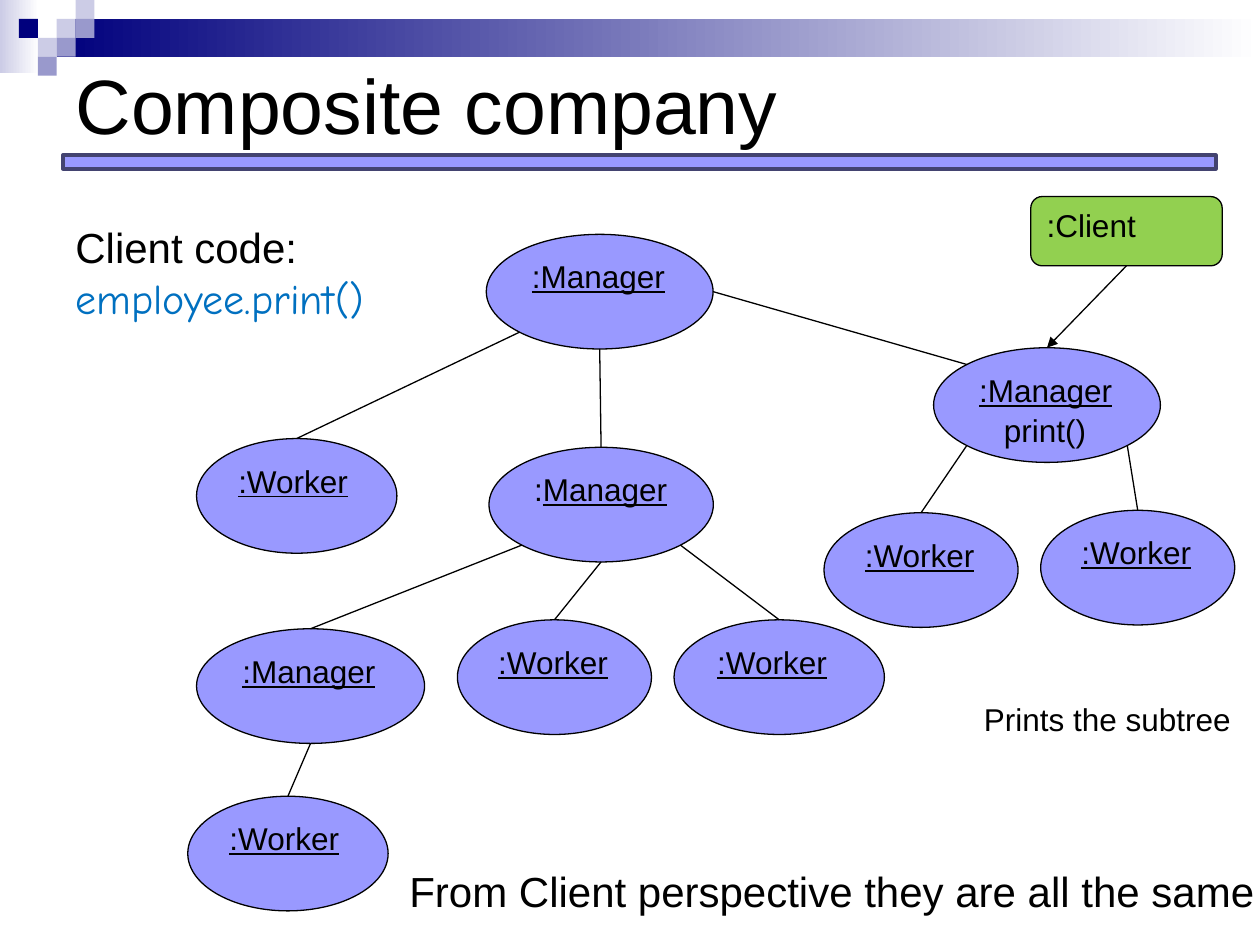
"""Builds the Composite company slide: an object tree of managers and workers."""
import pptx
import pptx.util
import pptx.dml.color
import pptx.enum.shapes
import pptx.enum.text
import lxml.etree
from pptx.oxml.ns import qn

Pt = pptx.util.Pt
RGB = pptx.dml.color.RGBColor
KIND = pptx.enum.shapes.MSO_SHAPE
TEXT = pptx.enum.text

BLACK = RGB(0x00, 0x00, 0x00)
WHITE = RGB(0xFF, 0xFF, 0xFF)
NAVY = RGB(0x00, 0x00, 0x7D)
PALE = RGB(0xCC, 0xCC, 0xE6)
MID = RGB(0x99, 0x99, 0xCC)
LILAC = RGB(0x99, 0x99, 0xFF)
SLATE = RGB(0x43, 0x43, 0x70)
GREEN = RGB(0x92, 0xD0, 0x50)
BLUE = RGB(0x00, 0x70, 0xC0)

TITLE = "Composite company"
STEP = 10.8
BANDS = [((0, 0, 22.3, 41.8), PALE), ((32.4, STEP, 687.6, 21.6), NAVY)]
TILES = [(3, 1, PALE), (4, 0, PALE), (4, 1, MID), (2, 2, PALE),
         (1, 1, NAVY), (3, 2, MID), (2, 3, MID)]
RULE = (36, 88.6, 658.8, 7.9)

HIGH = 65.5
NODES = {
    "root": (":Manager", 277.9, 133.9, 129.6),
    "east": (":Manager", 533.5, 198.7, 129.6),
    "mid": (":Manager", 279.4, 255.6, 128.2),
    "west": (":Manager", 112.3, 359.3, 130.3),
    "w1": (":Worker", 112.3, 250.6, 114.5),
    "w2": (":Worker", 107.3, 455, 114.5),
    "w3": (":Worker", 261.4, 354.2, 110.9),
    "w4": (":Worker", 385.2, 354.2, 120.2),
    "w5": (":Worker", 470.9, 293, 110.9),
    "w6": (":Worker", 594.7, 291.6, 110.9),
}
CLIENT = (589, 112.3, 109.4, 39.6)
SITES = {"top": (0.5, 0), "low": (0.5, 1), "right": (1, 0.5),
         "nw": (0.146, 0.146), "sw": (0.146, 0.854), "se": (0.854, 0.854)}
LINKS = [("root", "sw", "w1", "top"), ("root", "low", "mid", "top"),
         ("root", "right", "east", "nw"), ("mid", "sw", "west", "top"),
         ("mid", "low", "w3", "top"), ("mid", "se", "w4", "top"),
         ("east", "sw", "w5", "top"), ("east", "se", "w6", "top"),
         ("west", "low", "w2", "top"), ("client", "low", "east", "top")]
NOTES = [
    ((226.8, 491, 502.6, 36), 24,
     [("From Client perspective they are all the same", "Arial", BLACK)]),
    ((36, 123.1, 197.3, 65.5), 24,
     [("Client code:", "Arial", BLACK), ("employee.print()", "Comic Neue", BLUE)]),
    ((555.1, 396.7, 157, 28.8), 18, [("Prints the subtree", "Arial", BLACK)]),
    ((566.6, 231.1, 61.9, 28.8), 18, [("print()", "Arial", BLACK)]),
]


def write(para, text, color=BLACK, **form):
    run = para.add_run()
    run.text = text
    for key, value in {"name": "Arial", "size": Pt(18), **form}.items():
        setattr(run.font, key, value)
    run.font.color.rgb = color
    para.alignment = TEXT.PP_ALIGN.LEFT


def draw(slide, kind, box, color, edge=None, width=0.75):
    shape = slide.shapes.add_shape(kind, *map(Pt, box))
    shape.shadow.inherit = False
    shape.fill.solid()
    shape.fill.fore_color.rgb = color
    if edge is None:
        shape.line.fill.background()
    else:
        shape.line.color.rgb = edge
        shape.line.width = Pt(width)
    shape.text_frame.vertical_anchor = TEXT.MSO_ANCHOR.TOP
    return shape


def fade(shape, color):
    shape.fill.gradient()
    shape.fill.gradient_angle = 0
    for stop, tone, place in zip(shape.fill.gradient_stops, (color, WHITE), (0, 1)):
        stop.color.rgb = tone
        stop.position = place


def join(slide, start, end, arrow):
    line = slide.shapes.add_connector(
        pptx.enum.shapes.MSO_CONNECTOR.STRAIGHT, *map(Pt, start + end))
    line.line.color.rgb = BLACK
    line.line.width = Pt(0.75)
    if arrow:
        pen = line.line.fill and line.element.spPr.find(qn("a:ln"))
        lxml.etree.SubElement(pen, qn("a:tailEnd"), type="triangle")
    lxml.etree.SubElement(line.element.spPr, qn("a:effectLst"))


def spot(box, site):
    left, top, wide, high = box
    across, down = SITES[site]
    return left + across * wide, top + down * high


def dress(slide):
    for box, color in BANDS:
        fade(draw(slide, KIND.RECTANGLE, box, color), color)
    for col, row, color in TILES:
        draw(slide, KIND.RECTANGLE, (col * STEP, row * STEP, STEP, STEP), color)
    draw(slide, KIND.RECTANGLE, RULE, LILAC, SLATE, 2)


def head(slide):
    title = slide.shapes.title
    place = {"left": 36, "top": 5, "width": 648, "height": 108}
    for key, value in place.items():
        setattr(title, key, Pt(value))
    title.text_frame.vertical_anchor = TEXT.MSO_ANCHOR.MIDDLE
    write(title.text_frame.paragraphs[0], TITLE, size=Pt(44))
    slide.shapes.element.append(title.element)


def tree(slide):
    boxes = {"client": CLIENT}
    for key, (label, left, top, wide) in NODES.items():
        boxes[key] = (left, top, wide, HIGH)
        oval = draw(slide, KIND.OVAL, boxes[key], LILAC, BLACK)
        para = oval.text_frame.paragraphs[0]
        if key == "mid":
            write(para, label[0])
            label = label[1:]
        write(para, label, underline=True)
    card = draw(slide, KIND.ROUNDED_RECTANGLE, CLIENT, GREEN, BLACK)
    write(card.text_frame.paragraphs[0], ":Client")
    for first, out, last, into in LINKS:
        join(slide, spot(boxes[first], out), spot(boxes[last], into),
             first == "client")


def note(slide, box, size, lines):
    frame = slide.shapes.add_textbox(*map(Pt, box)).text_frame
    frame.word_wrap = False
    frame.auto_size = TEXT.MSO_AUTO_SIZE.SHAPE_TO_FIT_TEXT
    for at, (text, name, color) in enumerate(lines):
        para = frame.add_paragraph() if at else frame.paragraphs[0]
        write(para, text, color, name=name, size=Pt(size))


def main():
    deck = pptx.Presentation()
    deck.slide_width, deck.slide_height = Pt(720), Pt(540)
    slide = deck.slides.add_slide(deck.slide_layouts[5])
    dress(slide)
    head(slide)
    tree(slide)
    for item in NOTES:
        note(slide, *item)
    deck.save("out.pptx")


if __name__ == "__main__":
    main()
